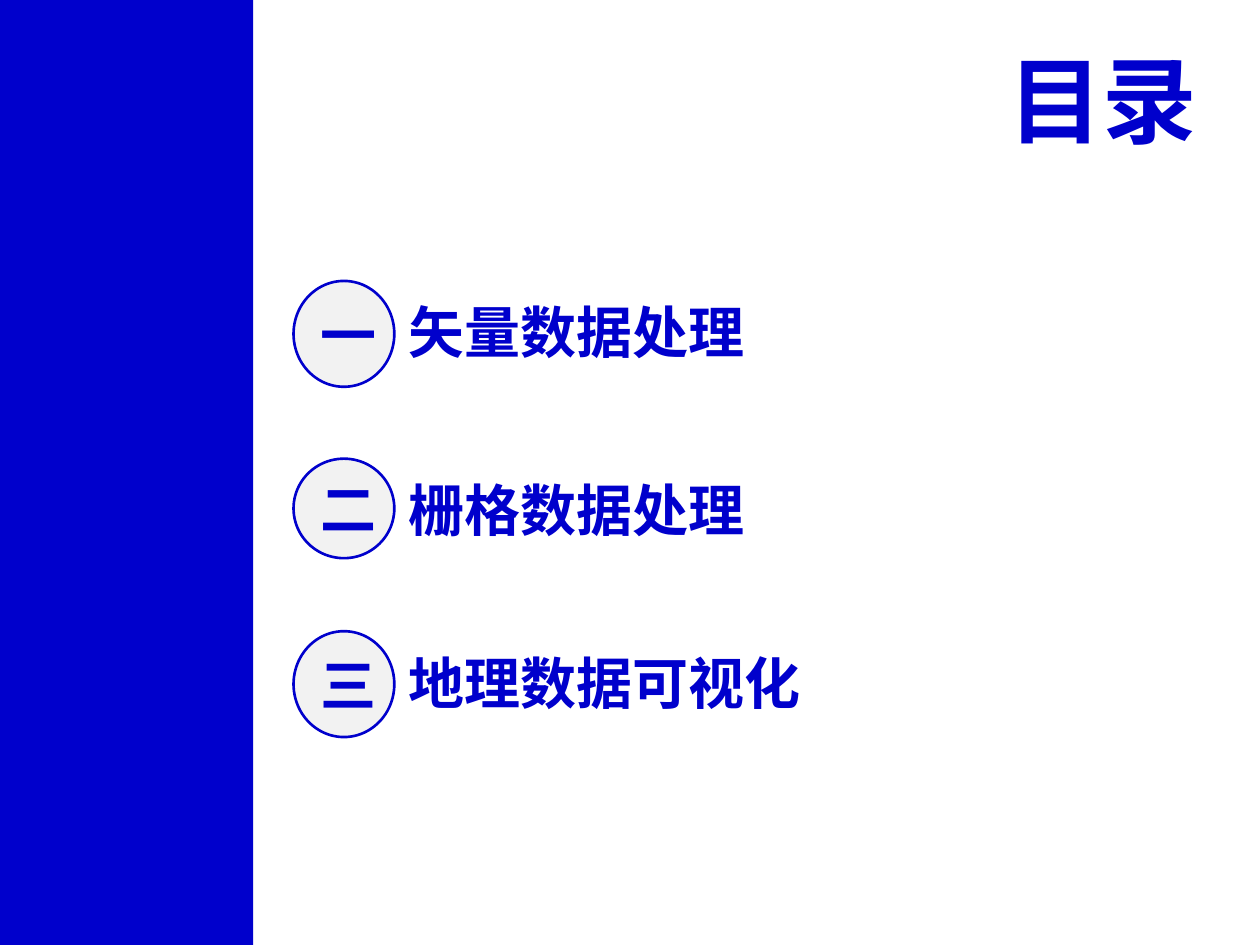
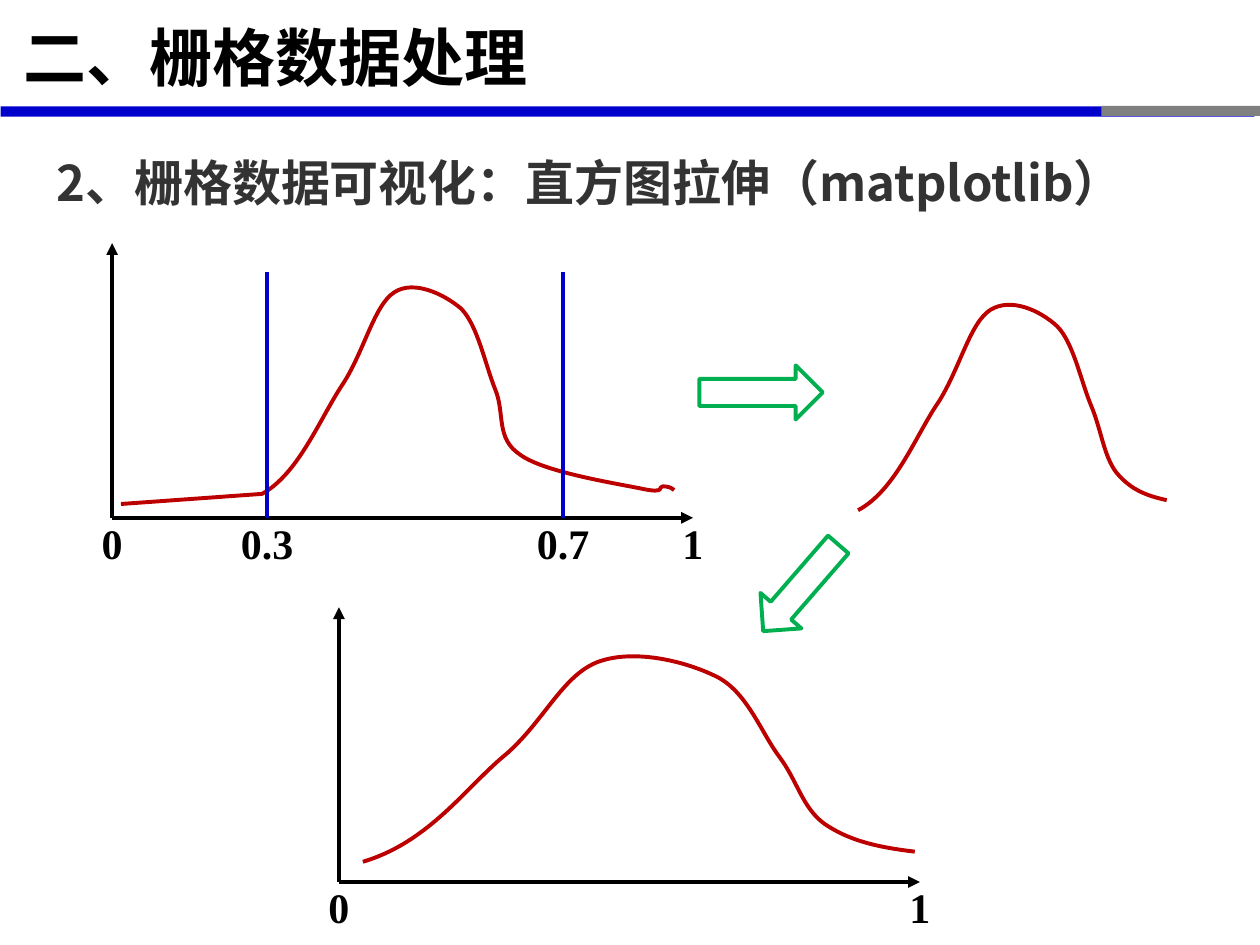
from typing import NamedTuple

from pptx import Presentation
from pptx.dml.color import RGBColor
from pptx.enum.shapes import MSO_CONNECTOR, MSO_SHAPE
from pptx.enum.text import MSO_ANCHOR, MSO_AUTO_SIZE, PP_ALIGN
from pptx.oxml.ns import qn
from pptx.util import Inches, Pt
from lxml.etree import SubElement

BLUE, BLACK, WHITE, TEXT_GREY = "0000CC", "000000", "FFFFFF", "333333"
BAND_GREY, DISC, CURVE, MARK, ARROW = "808080", "F2F2F2", "BC0000", "0000C8", "00B050"
CJK, ARIAL, TIMES = "Noto Sans CJK SC", "Arial", "Times New Roman"
LINE_WIDTH = 2.25

Point = tuple[float, float]
Segment = tuple[Point, ...]


class Entry(NamedTuple):
    numeral: str
    label: str
    top: float
    height: float
    label_width: float


class Curve(NamedTuple):
    """An outline from its lowest point; one point is a line, three are a cubic."""
    start: Point
    top: float
    segments: list[Segment]


class Tick(NamedTuple):
    label: str
    x: float
    width: float = 0.37


class Band(NamedTuple):
    x: float
    y: float
    length: float
    color: str


class BlockArrow(NamedTuple):
    x: float
    y: float
    w: float
    rotation: float


ENTRIES = [
    Entry("一", "矢量数据处理", 2.23, 0.84, 6.47),
    Entry("二", "栅格数据处理", 3.64, 0.79, 6.2),
    Entry("三", "地理数据可视化", 5.01, 0.84, 6.76),
]
BANDS = [Band(4.94, -4.09, 9.95, BLUE), Band(9.33, 0.25, 1.26, BAND_GREY)]
BLOCK_ARROWS = [BlockArrow(5.55, 2.9, 0.98, 0), BlockArrow(5.9, 4.45, 0.91, 130.9)]

FULL = Curve((0.96, 4.0), 2.28, [
    ((2.08, 3.92),),
    ((2.37, 3.76), (2.54, 3.32), (2.72, 3.05)),
    ((2.89, 2.79), (2.97, 2.42), (3.13, 2.32)),
    ((3.28, 2.22), (3.52, 2.33), (3.66, 2.45)),
    ((3.79, 2.58), (3.85, 2.89), (3.93, 3.09)),
    ((4.01, 3.28), (3.93, 3.48), (4.13, 3.61)),
    ((4.32, 3.75), (4.91, 3.84), (5.10, 3.88)),
    ((5.29, 3.92), (5.22, 3.86), (5.26, 3.86)),
    ((5.30, 3.86), (5.33, 3.87), (5.35, 3.89)),
])
CUT = Curve((6.81, 4.05), 2.42, [
    ((7.11, 3.89), (7.27, 3.45), (7.45, 3.19)),
    ((7.62, 2.92), (7.70, 2.56), (7.86, 2.46)),
    ((8.02, 2.36), (8.25, 2.46), (8.39, 2.59)),
    ((8.52, 2.72), (8.58, 3.03), (8.66, 3.22)),
    ((8.74, 3.41), (8.76, 3.62), (8.86, 3.75)),
    ((8.96, 3.87), (9.07, 3.93), (9.26, 3.97)),
])


def rgb(color: str) -> RGBColor:
    return RGBColor.from_string(color)


def write(tf, text: str, size: float, color: str, font: str,
          align=PP_ALIGN.LEFT, anchor=MSO_ANCHOR.TOP, wrap: bool = True):
    """Put one bold run into the frame and return its paragraph."""
    tf.word_wrap = wrap
    tf.auto_size = MSO_AUTO_SIZE.NONE
    tf.vertical_anchor = anchor
    p = tf.paragraphs[0]
    p.alignment = align
    r = p.add_run()
    r.text = text
    r.font.size, r.font.bold, r.font.name = Pt(size), True, font
    r.font.color.rgb = rgb(color)
    SubElement(r.font._element, qn("a:ea")).set("typeface", CJK)
    return p


def place(sp, x: float, y: float, w: float, h: float) -> None:
    sp.left, sp.top, sp.width, sp.height = (Inches(v) for v in (x, y, w, h))


def add_text(s, x: float, y: float, w: float, h: float, *args, **kwargs):
    box = s.shapes.add_textbox(Inches(x), Inches(y), Inches(w), Inches(h))
    return write(box.text_frame, *args, **kwargs)


def paint(sp, fill: str | None, line: str | None, width: float = LINE_WIDTH) -> None:
    sp.shadow.inherit = False
    if fill:
        sp.fill.solid()
        sp.fill.fore_color.rgb = rgb(fill)
    else:
        sp.fill.background()
    if line:
        sp.line.color.rgb = rgb(line)
        sp.line.width = Pt(width)
    else:
        sp.line.fill.background()


def add_shape(s, kind, x: float, y: float, w: float, h: float,
              fill: str | None = None, line: str | None = None, width: float = LINE_WIDTH):
    sp = s.shapes.add_shape(kind, Inches(x), Inches(y), Inches(w), Inches(h))
    paint(sp, fill, line, width)
    return sp


def add_line(s, start: Point, end: Point, color: str, arrow: bool = False) -> None:
    cx = s.shapes.add_connector(MSO_CONNECTOR.STRAIGHT, *(Inches(v) for v in start + end))
    cx.line.color.rgb = rgb(color)
    cx.line.width = Pt(LINE_WIDTH)
    if arrow:
        SubElement(cx.line._get_or_add_ln(), qn("a:tailEnd")).set("type", "triangle")
    SubElement(cx._element.spPr, qn("a:effectLst"))


def add_outline(s, points: list[Point]):
    emu = [(Inches(x), Inches(y)) for x, y in points]
    builder = s.shapes.build_freeform(*emu[0])
    builder.add_line_segments(emu[1:], close=False)
    return builder.convert_to_shape()


def add_curve(s, curve: Curve) -> None:
    """Span the curve's box with straight lines, then swap these for its segments."""
    left = curve.start[0]
    sp = add_outline(s, [curve.start, (left, curve.top), curve.segments[-1][-1]])
    outline = sp._element.spPr.find(".//" + qn("a:path"))
    for straight in outline.findall(qn("a:lnTo")):
        outline.remove(straight)
    for segment in curve.segments:
        part = SubElement(outline, qn("a:cubicBezTo" if len(segment) == 3 else "a:lnTo"))
        for x, y in segment:
            pt = SubElement(part, qn("a:pt"))
            pt.set("x", str(Inches(x) - Inches(left)))
            pt.set("y", str(Inches(y) - Inches(curve.top)))
    paint(sp, None, CURVE)


def stretched(curve: Curve, left: float, factor: float, drop: float) -> Curve:
    def move(point: Point) -> Point:
        return left + (point[0] - curve.start[0]) * factor, point[1] + drop

    return Curve(move(curve.start), curve.top + drop,
                 [tuple(move(point) for point in segment) for segment in curve.segments])


def add_axes(s, x: float, y: float, ticks: list[Tick]) -> None:
    """Draw both axes from their corner, with labels below the horizontal one."""
    add_line(s, (x, y), (x + 4.61, y), BLACK, arrow=True)
    add_line(s, (x, y), (x, y - 2.18), BLACK, arrow=True)
    for tick in ticks:
        add_text(s, tick.x - tick.width / 2, y - 0.05, tick.width, 0.5, tick.label, 24,
                 BLACK, TIMES, PP_ALIGN.CENTER, wrap=False)


def add_frame(s) -> None:
    """Draw the bands under the title and the footer rule."""
    for band in BANDS:
        sp = add_shape(s, MSO_SHAPE.ROUND_2_SAME_RECTANGLE, band.x, band.y, 0.08, band.length,
                       band.color)
        sp.adjustments[0] = 0
        sp.rotation = 90
    paint(add_outline(s, [(0, 6.99), (10, 6.99)]), None, WHITE, 0.25)


def build_contents(prs) -> None:
    s = prs.slides.add_slide(prs.slide_layouts[5])
    add_shape(s, MSO_SHAPE.RECTANGLE, 0, 0, 2.01, 7.5, BLUE)
    place(s.shapes.title, 7.84, 0.28, 1.76, 1.01)
    write(s.shapes.title.text_frame, "目录", 54, BLUE, ARIAL, PP_ALIGN.RIGHT, wrap=False)
    for entry in ENTRIES:
        disc = add_shape(s, MSO_SHAPE.OVAL, 2.33, entry.top, 0.8, entry.height, DISC, BLUE, 1.5)
        write(disc.text_frame, entry.numeral, 32, BLUE, CJK, PP_ALIGN.CENTER, MSO_ANCHOR.MIDDLE)
        add_text(s, 3.14, entry.top + 0.08, entry.label_width, 0.64, entry.label, 32, BLUE,
                 ARIAL, anchor=MSO_ANCHOR.MIDDLE)


def build_stretch(prs) -> None:
    s = prs.slides.add_slide(prs.slide_layouts[5])
    add_frame(s)
    place(s.shapes.title, 0, 0.01, 9.86, 0.87)
    tf = s.shapes.title.text_frame
    write(tf, "二、栅格数据处理", 36, BLACK, CJK, anchor=MSO_ANCHOR.MIDDLE)
    tf.margin_left = Inches(0.19)
    p = add_text(s, 0.35, 0.93, 9.31, 0.72, "2、栅格数据可视化：直方图拉伸（matplotlib）",
                 28, TEXT_GREY, CJK, PP_ALIGN.JUSTIFY)
    p.line_spacing = 1.5

    for curve in (CUT, FULL, stretched(CUT, 2.88, 4.38 / 2.45, 2.79)):
        add_curve(s, curve)

    limits = [Tick("0.3", 2.12, 0.62), Tick("0.7", 4.47, 0.62)]
    add_axes(s, 0.89, 4.11, [Tick("0", 0.89), *limits, Tick("1", 5.5)])
    add_axes(s, 2.69, 7, [Tick("0", 2.69), Tick("1", 7.3)])
    for limit in limits:
        add_line(s, (limit.x, 2.16), (limit.x, 4.11), MARK)
    for arrow in BLOCK_ARROWS:
        sp = add_shape(s, MSO_SHAPE.RIGHT_ARROW, arrow.x, arrow.y, arrow.w, 0.43, line=ARROW)
        sp.rotation = arrow.rotation


def main() -> None:
    prs = Presentation()
    prs.slide_width, prs.slide_height = Inches(10), Inches(7.5)
    build_contents(prs)
    build_stretch(prs)
    prs.save("out.pptx")


if __name__ == "__main__":
    main()
